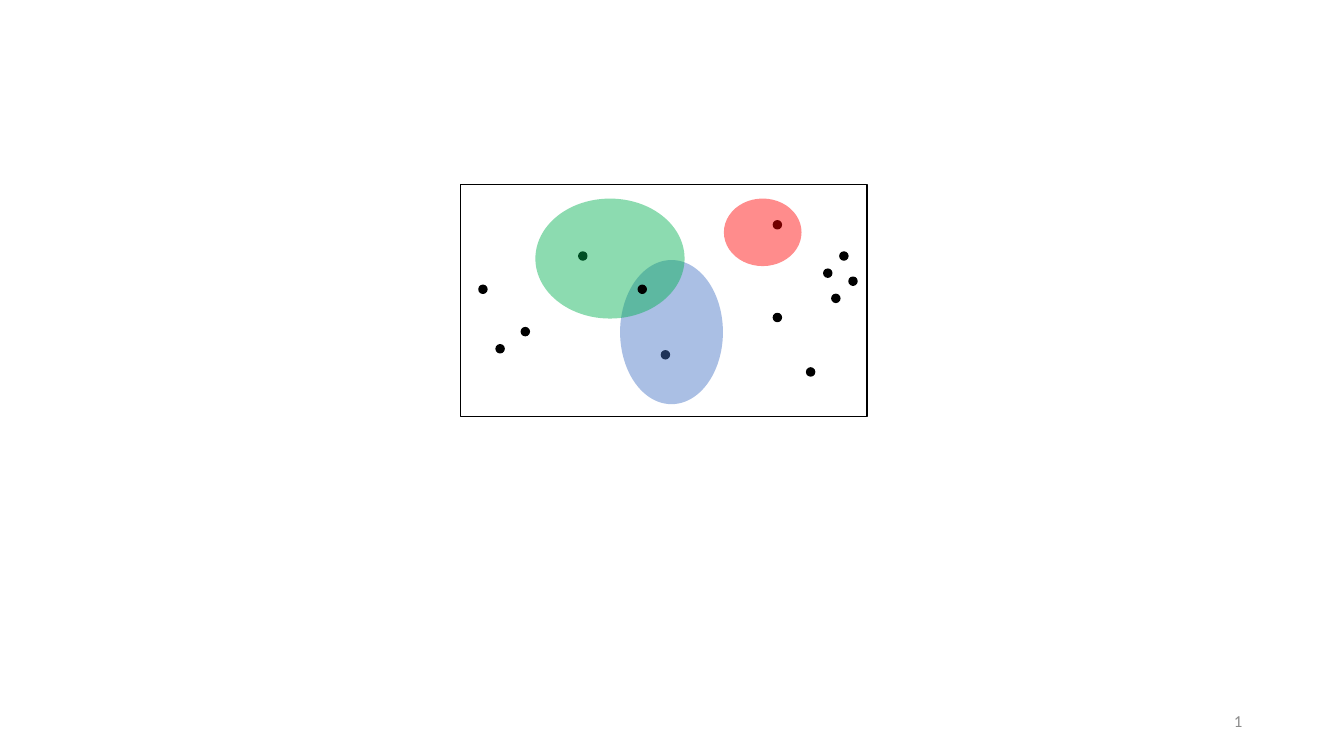
from pptx import Presentation
from pptx.dml.color import RGBColor
from pptx.enum.shapes import MSO_SHAPE as Preset
from pptx.enum.text import MSO_ANCHOR as Anchor, PP_ALIGN as Align
from pptx.oxml.ns import qn
from pptx.util import Inches, Pt
from lxml.etree import SubElement

COLORS = {
    "white": "FFFFFF", "black": "000000", "gray": "8C8C8C",
    "blue": "4472C4", "green": "00B050", "red": "FF0000",
}
SAMPLE_SPACE = (4.57, 1.83, 4.03, 2.3)
EVENTS = [
    ("blue", (6.15, 2.58, 1.02, 1.43)),
    ("green", (5.31, 1.97, 1.48, 1.19)),
    ("red", (7.18, 1.97, 0.77, 0.67)),
]
COVERED_OUTCOMES = [(5.74, 2.5), (6.56, 3.48), (7.67, 2.19)]
OPEN_OUTCOMES = [
    (4.75, 2.83), (4.92, 3.42), (5.17, 3.25), (6.33, 2.83),
    (8, 3.65), (8.17, 2.67), (8.25, 2.92), (8.42, 2.75),
    (8.33, 2.5), (7.67, 3.11),
]
OUTCOME_SIZE = 0.08
EVENT_OPACITY = 45
PAGE_NUMBER = ("1", (9.42, 6.95, 3, 0.4))

presentation = Presentation()
presentation.slide_width = Inches(13.33)
presentation.slide_height = Inches(7.5)
slide = presentation.slides.add_slide(presentation.slide_layouts[6])


def color(name):
    return RGBColor.from_string(COLORS[name])


def add_figure(preset, box, fill, outline=None, opacity=100):
    shape = slide.shapes.add_shape(preset, *map(Inches, box))
    shape.shadow.inherit = False
    shape.fill.solid()
    shape.fill.fore_color.rgb = color(fill)
    if opacity < 100:
        fill_color = shape.element.spPr.find(qn("a:solidFill"))[0]
        SubElement(fill_color, qn("a:alpha"), val=str(opacity * 1000))
    if outline:
        shape.line.color.rgb = color(outline)
        shape.line.width = Pt(1)
    else:
        shape.line.fill.background()


def add_outcomes(positions):
    for left, top in positions:
        box = (left, top, OUTCOME_SIZE, OUTCOME_SIZE)
        add_figure(Preset.OVAL, box, "black", "black")


def add_page_number(text, box):
    text_frame = slide.shapes.add_textbox(*map(Inches, box)).text_frame
    text_frame.word_wrap = True
    text_frame.vertical_anchor = Anchor.MIDDLE
    text_frame.text = text
    paragraph = text_frame.paragraphs[0]
    paragraph.alignment = Align.RIGHT
    font = paragraph.runs[0].font
    font.name = "Calibri"
    font.size = Pt(12)
    font.color.rgb = color("gray")


add_page_number(*PAGE_NUMBER)
add_figure(Preset.RECTANGLE, SAMPLE_SPACE, "white", "black")
add_outcomes(COVERED_OUTCOMES)
for event_color, event_box in EVENTS:
    add_figure(Preset.OVAL, event_box, event_color, opacity=EVENT_OPACITY)
add_outcomes(OPEN_OUTCOMES)

presentation.save("out.pptx")
